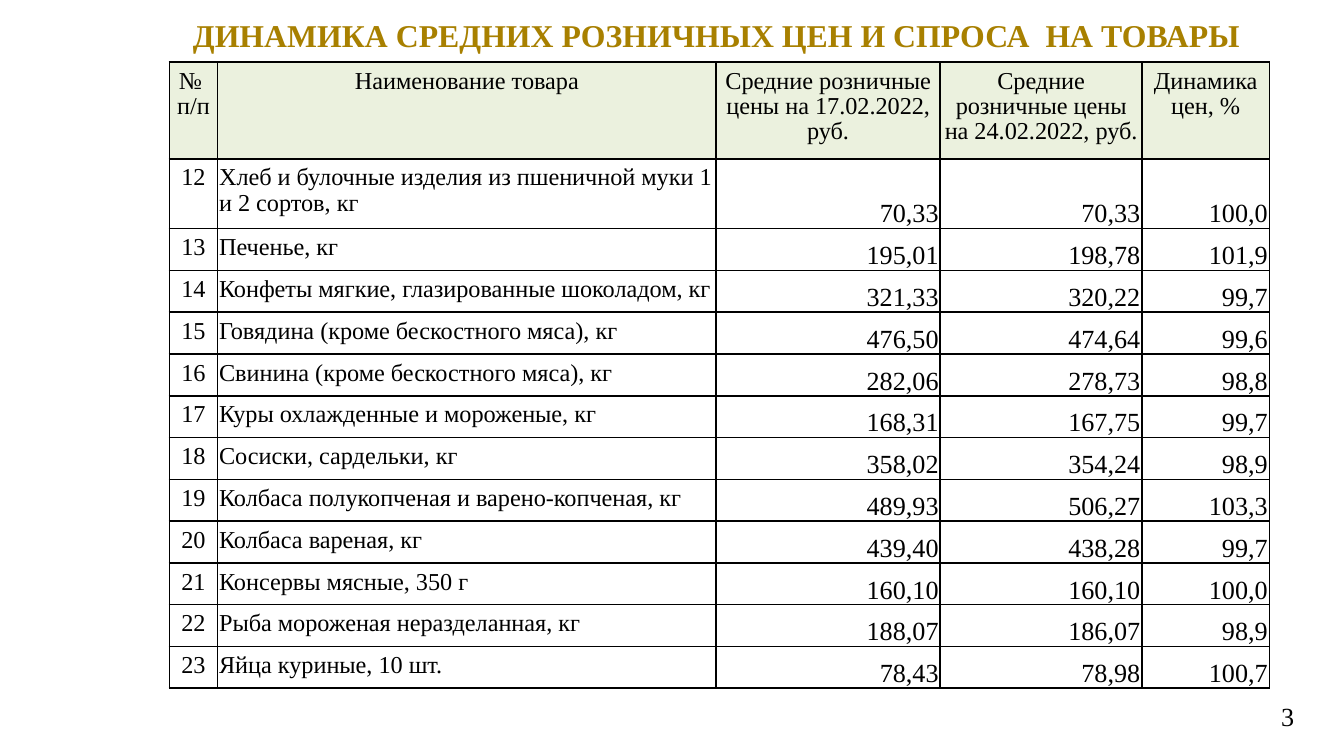
from lxml import etree
from pptx import Presentation
from pptx.dml.color import RGBColor
from pptx.enum.text import MSO_ANCHOR, MSO_AUTO_SIZE, PP_ALIGN
from pptx.oxml.ns import qn
from pptx.util import Cm, Pt

LEFT, CENTER, RIGHT = PP_ALIGN.LEFT, PP_ALIGN.CENTER, PP_ALIGN.RIGHT
TOP, MIDDLE, BOTTOM = MSO_ANCHOR.TOP, MSO_ANCHOR.MIDDLE, MSO_ANCHOR.BOTTOM
NO_FIT = MSO_AUTO_SIZE.NONE
GOLD = RGBColor(0xA8, 0x80, 0x00)
BLACK = RGBColor(0, 0, 0)
GREEN = RGBColor(0xEB, 0xF1, 0xDE)
WHITE = RGBColor(0xFF, 0xFF, 0xFF)
FONT = "Times New Roman"
FIRST = 12
WIDTHS = (0.91, 9.42, 4.24, 3.81, 2.41)
HEAD_H, TALL_H, ROW_H = 1.78, 1.32, 0.79
HEADS = (
    ("№ ", "п/п"),
    ("Наименование товара",),
    ("Средние розничные цены на 17.02.2022, руб.",),
    ("Средние розничные цены на 24.02.2022, руб.",),
    ("Динамика цен, %",),
)
GOODS = (
    ("Хлеб и булочные изделия из пшеничной муки 1 и 2 сортов, кг", "70,33", "70,33", "100,0"),
    ("Печенье, кг", "195,01", "198,78", "101,9"),
    ("Конфеты мягкие, глазированные шоколадом, кг", "321,33", "320,22", "99,7"),
    ("Говядина (кроме бескостного мяса), кг", "476,50", "474,64", "99,6"),
    ("Свинина (кроме бескостного мяса), кг", "282,06", "278,73", "98,8"),
    ("Куры охлажденные и мороженые, кг", "168,31", "167,75", "99,7"),
    ("Сосиски, сардельки, кг", "358,02", "354,24", "98,9"),
    ("Колбаса полукопченая и варено-копченая, кг", "489,93", "506,27", "103,3"),
    ("Колбаса вареная, кг", "439,40", "438,28", "99,7"),
    ("Консервы мясные, 350 г", "160,10", "160,10", "100,0"),
    ("Рыба мороженая неразделанная, кг", "188,07", "186,07", "98,9"),
    ("Яйца куриные, 10 шт.", "78,43", "78,98", "100,7"),
)


def write(frame, lines, size, align, color=BLACK, bold=False, space=None):
    """Write each line as a paragraph with one run."""
    for i, line in enumerate(lines):
        para = frame.add_paragraph() if i else frame.paragraphs[0]
        para.alignment = align
        para.line_spacing = space
        run = para.add_run()
        run.text = line
        font = run.font
        font.name, font.size, font.bold = FONT, Pt(size), bold
        font.color.rgb = color


def place(shape, left, top, width, height):
    """Set the place and size of a shape in centimetres."""
    shape.left, shape.top = Cm(left), Cm(top)
    shape.width, shape.height = Cm(width), Cm(height)


def edge(cell):
    """Draw a thin black line on all four sides of a cell."""
    props = cell._tc.get_or_add_tcPr()
    for side in ("lnL", "lnR", "lnT", "lnB"):
        line = etree.SubElement(props, qn(f"a:{side}"), w=str(Pt(0.96)))
        fill = etree.SubElement(line, qn("a:solidFill"))
        etree.SubElement(fill, qn("a:srgbClr"), val=str(BLACK))


def fill_cell(cell, lines, align, fill=WHITE, price=False):
    """Fill, frame and write one cell of the table."""
    edge(cell)
    cell.fill.solid()
    cell.fill.fore_color.rgb = fill
    cell.margin_left = cell.margin_right = Cm(0.03)
    cell.margin_top = Cm(0.03 if price else 0.13)
    cell.margin_bottom = Cm(0 if price else 0.13)
    cell.vertical_anchor = BOTTOM if price else TOP
    write(cell.text_frame, lines, 14 if price else 13, align,
          space=None if price else 0.95)


def add_title(slide):
    """Move and write the title placeholder."""
    title = slide.shapes.title
    place(title, 2.82, 0.2, 21.89, 0.91)
    frame = title.text_frame
    frame.auto_size, frame.word_wrap = NO_FIT, True
    frame.vertical_anchor = MIDDLE
    frame.margin_right = Cm(0.7)
    write(frame, ["ДИНАМИКА СРЕДНИХ РОЗНИЧНЫХ ЦЕН И СПРОСА  НА ТОВАРЫ"],
          17, CENTER, GOLD, True)


def add_prices(slide):
    """Build the table of goods and prices."""
    heights = [HEAD_H, TALL_H] + [ROW_H] * (len(GOODS) - 1)
    table = slide.shapes.add_table(
        len(heights), len(WIDTHS), Cm(3.2), Cm(1.17),
        Cm(sum(WIDTHS)), Cm(sum(heights))).table
    table.first_row = table.horz_banding = False
    for col, width in zip(table.columns, WIDTHS):
        col.width = Cm(width)
    for row, height in zip(table.rows, heights):
        row.height = Cm(height)
    for c, lines in enumerate(HEADS):
        fill_cell(table.cell(0, c), lines, CENTER, GREEN)
    for r, (name, *prices) in enumerate(GOODS, 1):
        fill_cell(table.cell(r, 0), [str(FIRST + r - 1)], CENTER)
        fill_cell(table.cell(r, 1), [name], LEFT)
        for c, price in enumerate(prices, 2):
            fill_cell(table.cell(r, c), [price], RIGHT, price=True)


def add_number(slide):
    """Write the slide number in the lower right corner."""
    box = slide.shapes.add_textbox(Cm(23.52), Cm(13.11), Cm(1.19), Cm(1.12))
    box.text_frame.word_wrap = True
    write(box.text_frame, ["3"], 14, RIGHT)


def main():
    """Build the slide and save it."""
    deck = Presentation()
    deck.slide_width, deck.slide_height = Cm(25.4), Cm(14.29)
    slide = deck.slides.add_slide(deck.slide_layouts[5])
    add_title(slide)
    add_number(slide)
    add_prices(slide)
    deck.save("out.pptx")


if __name__ == "__main__":
    main()
